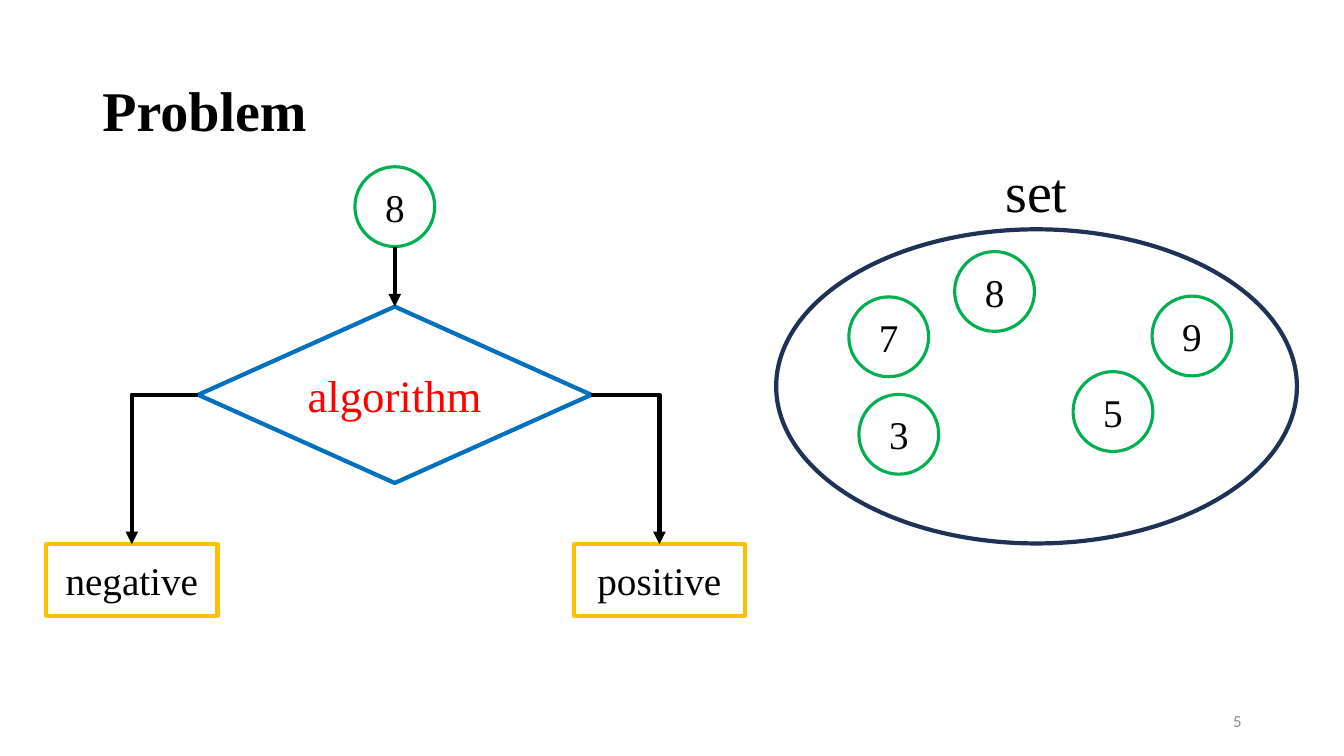
from lxml import etree
from pptx import Presentation, util as u
from pptx.dml.color import RGBColor
from pptx.enum import shapes as s, text as t
from pptx.oxml import ns

# Grid of 160 columns by 90 rows of square cells
CELL = u.Inches(7.5) / 90
COLUMNS, ROWS = 160, 90

BLACK = RGBColor(0, 0, 0)
RED = RGBColor(0xFF, 0, 0)
GREEN = RGBColor(0x00, 0xB0, 0x50)
BLUE = RGBColor(0x00, 0x70, 0xC0)
NAVY = RGBColor(0x1E, 0x32, 0x56)
GOLD = RGBColor(0xFF, 0xC0, 0x00)
GREY = RGBColor(0x8C, 0x8C, 0x8C)

CIRCLE = 9.5
SET_MEMBERS = [("3", 107, 51.7), ("8", 118.4, 34.7), ("7", 105.8, 40.1),
               ("9", 141.9, 40), ("5", 132.5, 49)]
FLOW_X = 47  # column shared by the input and the decision


def cells(count):
    return u.Emu(round(count * CELL))


def box(center_x, center_y, width, height):
    """Left, top, width and height of a box around a grid point."""
    return [cells(value) for value in
            (center_x - width / 2, center_y - height / 2, width, height)]


def write(shape, words, size, color=BLACK, align=t.PP_ALIGN.CENTER,
          font="Times New Roman", bold=False, anchor=t.MSO_ANCHOR.MIDDLE):
    frame = shape.text_frame
    frame.text = words
    frame.vertical_anchor = anchor
    paragraph = frame.paragraphs[0]
    paragraph.alignment = align
    paragraph.font.name = font
    paragraph.font.size = u.Pt(size)
    paragraph.font.bold = bold
    paragraph.font.color.rgb = color
    return paragraph


def add_outline(shapes, kind, place, color, weight=3):
    shape = shapes.add_shape(kind, *place)
    shape.shadow.inherit = False
    shape.fill.background()
    shape.line.color.rgb = color
    shape.line.width = u.Pt(weight)
    return shape


def add_number(shapes, number, center_x, center_y):
    circle = add_outline(shapes, s.MSO_SHAPE.OVAL,
                         box(center_x, center_y, CIRCLE, CIRCLE), GREEN, 2.25)
    write(circle, number, 28)
    return circle


def add_result(shapes, words, center_x):
    result = add_outline(shapes, s.MSO_SHAPE.RECTANGLE,
                         box(center_x, 69.05, 20.4, 8.5), GOLD)
    write(result, words, 28)
    return result


def add_arrow(shapes, kind, start, target):
    """Arrow from a point to the top of the target shape."""
    arrow = shapes.add_connector(kind, *start, *start)
    arrow.end_connect(target, 0)
    arrow.line.color.rgb = BLACK
    arrow.line.width = u.Pt(3)
    properties = arrow._element.spPr
    etree.SubElement(arrow.line._get_or_add_ln(), ns.qn("a:tailEnd"),
                     type="triangle")
    etree.SubElement(properties, ns.qn("a:effectLst"))
    if kind == s.MSO_CONNECTOR.ELBOW:
        # One bend instead of two
        properties.find(ns.qn("a:prstGeom")).set("prst", "bentConnector2")
    return arrow


def add_set(slide):
    group = slide.shapes.add_group_shape().shapes
    for number, center_x, center_y in SET_MEMBERS:
        add_number(group, number, center_x, center_y)
    add_outline(group, s.MSO_SHAPE.OVAL, box(123.4, 46, 62, 37.4), NAVY)
    label = group.add_textbox(*box(123.5, 22.6, 10, 9.2))
    label.text_frame.word_wrap = False
    label.text_frame.auto_size = t.MSO_AUTO_SIZE.SHAPE_TO_FIT_TEXT
    write(label, "set", 40, align=t.PP_ALIGN.LEFT, anchor=t.MSO_ANCHOR.TOP)


def add_flow(slide):
    shapes = slide.shapes
    decision = add_outline(shapes, s.MSO_SHAPE.FLOWCHART_DECISION,
                           box(FLOW_X, 47, 46.8, 21), BLUE)
    write(decision, "algorithm", 32, RED)
    item = add_number(shapes, "8", FLOW_X, 24.6)
    add_arrow(shapes, s.MSO_CONNECTOR.STRAIGHT,
              (cells(FLOW_X), item.top + item.height), decision)

    middle = decision.top + decision.height // 2
    for words, center_x, side, edge in (
            ("negative", 15.7, 1, decision.left),
            ("positive", 78.5, 3, decision.left + decision.width)):
        result = add_result(shapes, words, center_x)
        arrow = add_arrow(shapes, s.MSO_CONNECTOR.ELBOW, (edge, middle), result)
        arrow.begin_connect(decision, side)


def main():
    presentation = Presentation()
    presentation.slide_width = cells(COLUMNS)
    presentation.slide_height = cells(ROWS)
    slide = presentation.slides.add_slide(presentation.slide_layouts[5])

    # Title and slide number
    title = slide.shapes.title
    title.left, title.top, title.width, title.height = box(80, 13.5, 138, 17.4)
    heading = write(title, "Problem", 40, align=t.PP_ALIGN.LEFT, bold=True)
    heading.line_spacing = 0.9
    number = slide.shapes.add_textbox(*box(131, 85.8, 36, 4.8))
    number.text_frame.word_wrap = True
    write(number, "5", 12, GREY, t.PP_ALIGN.RIGHT, "Calibri")

    # Set of numbers and the decision flow
    add_set(slide)
    add_flow(slide)
    presentation.save("out.pptx")


if __name__ == "__main__":
    main()
